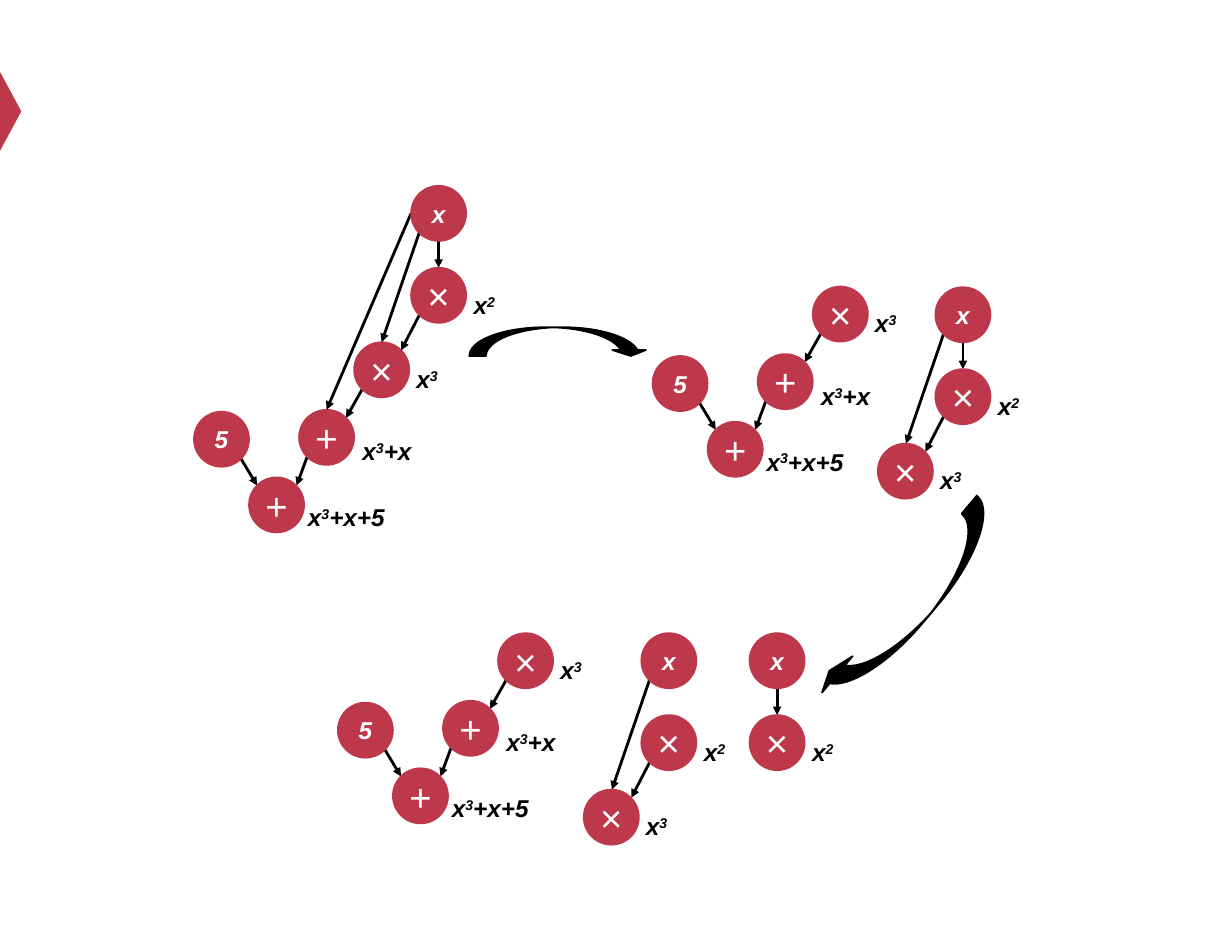
"""Build a slide that splits a polynomial's expression graph into smaller graphs."""
from dataclasses import dataclass

from lxml import etree
from pptx import Presentation
from pptx.dml.color import RGBColor
from pptx.enum import shapes, text
from pptx.oxml import ns
from pptx.util import Inches, Pt


@dataclass(frozen=True)
class Theme:
    font: str = "Arial"
    red: str = "BE384B"
    black: str = "000000"
    white: str = "FFFFFF"
    term_size: int = 28
    operator_size: int = 44
    outline: float = 2
    edge: float = 3.25
    diameter: float = 0.88


@dataclass(frozen=True)
class Part:
    nodes: tuple = ()
    edges: tuple = ()
    labels: tuple = ()


THEME = Theme()
SHAPE = shapes.MSO_SHAPE

SUM = Part(
    nodes=(("5", 0, 0), ("+", 1.68, -0.03), ("+", 0.88, 1.05), ("×", 2.56, -1.11)),
    edges=((2.69, -0.36, 2.43, 0.1), (1.81, 0.72, 1.64, 1.18), (0.75, 0.75, 1.01, 1.18)),
    labels=(("x", "3", "", 3.29, -0.81, 0.87), ("x", "3", "+x", 2.45, 0.35, 1.27),
            ("x", "3", "+x+5", 1.58, 1.4, 1.71)),
)
SQUARE = Part(nodes=(("x", 0, 0), ("×", 0, 1.31)), labels=(("x", "2", "", 0.7, 1.62, 0.94),))
SQUARE_EDGE = Part(edges=((0.44, 0.88, 0.44, 1.31),))
CUBE_EDGES = Part(edges=((0.13, 2.07, -0.16, 2.63), (0.13, 0.75, -0.47, 2.5)))
CUBE = Part(nodes=(("×", -0.92, 2.5),), labels=(("x", "3", "", -0.19, 2.8, 0.87),))
SUM_EDGE = Part(edges=((0, 0.44, -1.35, 3.58),))

GRAPHS = (
    (3.1, 6.58, (SUM,)),
    (6.57, 2.97, (SQUARE_EDGE, CUBE_EDGES, SUM_EDGE, SQUARE)),
    (10.43, 5.69, (SUM,)),
    (14.95, 4.59, (SQUARE_EDGE, CUBE_EDGES, SQUARE, CUBE)),
    (5.4, 11.23, (SUM,)),
    (10.25, 10.12, (CUBE_EDGES, SQUARE, CUBE)),
    (11.98, 10.12, (SQUARE_EDGE, SQUARE)),
)


def add_span(para, words, *, size, color, bold=True, italic=True, raised=False):
    span = para.add_run()
    span.text = words
    span.font.name = THEME.font
    span.font.size = Pt(size)
    span.font.bold = bold
    span.font.italic = italic
    span.font.color.rgb = RGBColor.from_string(color)
    if raised:
        span.font._element.set("baseline", "30000")


def add_solid(page, kind, left, top, width, height, color, *, rotation=0, outlined=True):
    solid = page.shapes.add_shape(kind, Inches(left), Inches(top), Inches(width), Inches(height))
    solid.shadow.inherit = False
    solid.rotation = rotation
    solid.fill.solid()
    solid.fill.fore_color.rgb = RGBColor.from_string(color)
    if outlined:
        solid.line.color.rgb = RGBColor.from_string(color)
        solid.line.width = Pt(THEME.outline)
    else:
        solid.line.fill.background()
    return solid


def add_node(page, symbol, left, top):
    node = add_solid(page, SHAPE.OVAL, left, top, THEME.diameter, THEME.diameter, THEME.red)
    frame = node.text_frame
    frame.margin_left = frame.margin_right = frame.margin_top = frame.margin_bottom = 0
    frame.word_wrap = False
    frame.vertical_anchor = text.MSO_ANCHOR.MIDDLE
    para = frame.paragraphs[0]
    para.alignment = text.PP_ALIGN.CENTER
    term = symbol not in "+×"
    size = THEME.term_size if term else THEME.operator_size
    add_span(para, symbol, size=size, color=THEME.white, bold=term, italic=term)


def add_edge(page, start_x, start_y, end_x, end_y):
    edge = page.shapes.add_connector(
        shapes.MSO_CONNECTOR.STRAIGHT,
        Inches(start_x), Inches(start_y), Inches(end_x), Inches(end_y))
    edge.line.color.rgb = RGBColor.from_string(THEME.black)
    edge.line.width = Pt(THEME.edge)
    etree.SubElement(edge.line._get_or_add_ln(), ns.qn("a:tailEnd"), type="triangle")
    etree.SubElement(edge._element.spPr, ns.qn("a:effectLst"))


def add_label(page, base, power, rest, left, top, width):
    box = page.shapes.add_textbox(Inches(left), Inches(top), Inches(width), Inches(0.57))
    box.text_frame.word_wrap = True
    box.text_frame.auto_size = text.MSO_AUTO_SIZE.SHAPE_TO_FIT_TEXT
    para = box.text_frame.paragraphs[0]
    para.alignment = text.PP_ALIGN.CENTER
    for words, raised in ((base, False), (power, True), (rest, False)):
        if words:
            add_span(para, words, size=THEME.term_size, color=THEME.black, raised=raised)


def add_part(page, part, left, top):
    for start_x, start_y, end_x, end_y in part.edges:
        add_edge(page, left + start_x, top + start_y, left + end_x, top + end_y)
    for base, power, rest, x, y, width in part.labels:
        add_label(page, base, power, rest, left + x, top + y, width)
    for symbol, x, y in part.nodes:
        add_node(page, symbol, left + x, top + y)


def add_step_arrow(page, left, top, width, height, rotation=0):
    arrow = add_solid(page, SHAPE.CURVED_DOWN_ARROW, left, top, width, height,
                      THEME.black, rotation=rotation)
    for index, value in enumerate((0.58, 1.168, 0.207)):
        arrow.adjustments[index] = value


def main():
    deck = Presentation()
    deck.slide_width, deck.slide_height = Inches(19.69), Inches(14.96)
    page = deck.slides.add_slide(deck.slide_layouts[6])
    add_solid(page, SHAPE.ISOSCELES_TRIANGLE, -0.46, 1.61, 1.26, 0.34, THEME.red,
              rotation=90, outlined=False)
    for left, top, parts in GRAPHS:
        for part in parts:
            add_part(page, part, left, top)
    add_step_arrow(page, 7.5, 5.23, 2.85, 0.46)
    add_step_arrow(page, 12.54, 9.35, 4.04, 0.65, rotation=130.1)
    deck.save("out.pptx")


if __name__ == "__main__":
    main()
